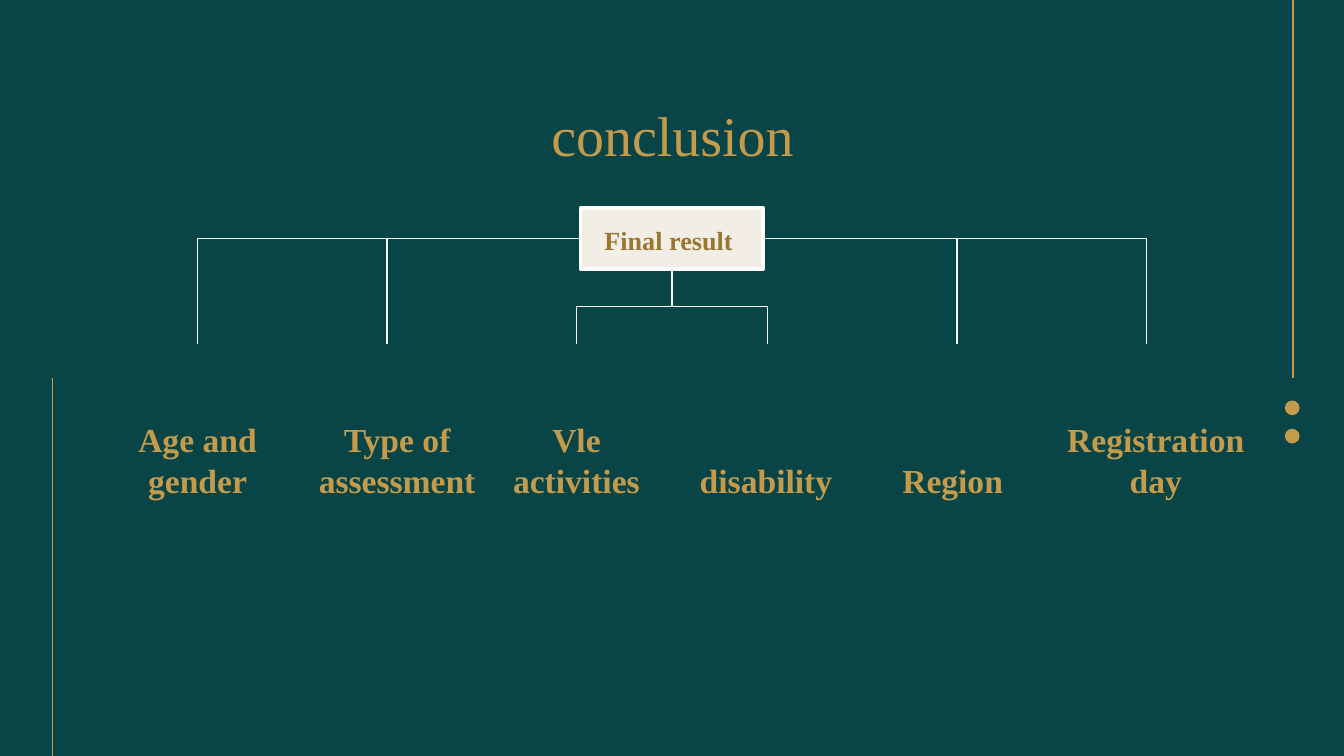
"""Build the conclusion slide: one final result linked to six factors."""
from dataclasses import dataclass
from lxml.etree import SubElement
from pptx import Presentation
from pptx.dml.color import RGBColor as Rgb
from pptx.enum.shapes import MSO_CONNECTOR as Link, MSO_SHAPE as Kind
from pptx.enum.text import MSO_ANCHOR as Anchor, PP_ALIGN as Align
from pptx.oxml.ns import qn
from pptx.util import Inches, Pt


@dataclass(frozen=True)
class Theme:
    back: Rgb = Rgb.from_string("094446")
    gold: Rgb = Rgb.from_string("C49B4B")
    dark: Rgb = Rgb.from_string("997632")
    cream: Rgb = Rgb.from_string("F2EEE5")
    edge: Rgb = Rgb.from_string("FEFEFD")
    wire: Rgb = Rgb.from_string("F8F8F7")
    font: str = "Times New Roman"
    title: Pt = Pt(30)
    label: Pt = Pt(18)
    root: Pt = Pt(14)


theme = Theme()


def write(shape, text, size, color, bold=True, anchor=Anchor.BOTTOM):
    frame = shape.text_frame
    frame.word_wrap = True
    frame.vertical_anchor = anchor
    frame.margin_left = frame.margin_right = Inches(0.1)
    frame.margin_top = frame.margin_bottom = Inches(0.1)
    para = frame.paragraphs[0]
    para.alignment = Align.CENTER
    run = para.add_run()
    run.text = text
    run.font.name, run.font.size = theme.font, size
    run.font.bold, run.font.color.rgb = bold, color


def draw(kind, x1, y1, x2, y2, color):
    line = slide.shapes.add_connector(kind, Inches(x1), Inches(y1), Inches(x2), Inches(y2))
    line.line.color.rgb = color
    line.line.width = Pt(0.75)
    SubElement(line._element.spPr, qn("a:effectLst"))
    return line


wide, high = 10, 10 * 9 / 16
deck = Presentation()
deck.slide_width, deck.slide_height = Inches(wide), Inches(high)
slide = deck.slides.add_slide(deck.slide_layouts[5])
slide.background.fill.solid()
slide.background.fill.fore_color.rgb = theme.back

draw(Link.STRAIGHT, 0.39, high, 0.39, high / 2, theme.gold)
draw(Link.STRAIGHT, 9.62, high / 2, 9.62, 0, theme.gold)
for top in (2.98, 3.19):
    dot = slide.shapes.add_shape(Kind.OVAL, Inches(9.56), Inches(top), Inches(0.11), Inches(0.11))
    dot.shadow.inherit = False
    dot.fill.solid()
    dot.fill.fore_color.rgb = theme.gold
    dot.line.fill.background()

title = slide.shapes.title
title.left, title.top = Inches(0.79), Inches(0.65)
title.width, title.height = Inches(8.43), Inches(0.63)
write(title, "conclusion", theme.title, theme.gold, False, Anchor.TOP)

base = 3.82
labels = [
    ("Age and gender", 0.79, 1.36, 0.77),
    ("Type of assessment", 2.2, 1.51, 1.04),
    ("Vle activities", 3.61, 1.36, 0.77),
    ("disability", 5.02, 1.36, 0.77),
    ("Region ", 6.44, 1.36, 0.77),
    ("Registration day", 7.83, 1.54, 0.87),
]
for text, left, span, tall in labels:
    box = slide.shapes.add_textbox(Inches(left), Inches(base - tall), Inches(span), Inches(tall))
    write(box, text, theme.label, theme.gold)

root = slide.shapes.add_shape(Kind.RECTANGLE, Inches(4.32), Inches(1.55), Inches(1.36), Inches(0.45))
root.shadow.inherit = False
root.fill.solid()
root.fill.fore_color.rgb = theme.cream
root.line.color.rgb = theme.edge
root.line.width = Pt(2)
write(root, "Final result ", theme.root, theme.dark)

mid, low, end = 1.78, 2, 2.56
for start, stop, side in [(4.32, 1.47, 1), (4.32, 2.88, 1), (5.68, 7.12, 3), (5.68, 8.53, 3)]:
    wire = draw(Link.ELBOW, start, mid, stop, end, theme.wire)
    wire._element.spPr.prstGeom.set("prst", "bentConnector2")
    wire.begin_connect(root, side)

drop, reach = end - low, 0.71
for sign, turn, flip in [(-1, 90, "0"), (1, 270, "1")]:
    wire = draw(Link.ELBOW, 5, low, 5 + sign * reach, end, theme.wire)
    wire.begin_connect(root, 2)
    wire.left = Inches(5 + sign * reach / 2 - drop / 2)
    wire.top = Inches((low + end) / 2 - reach / 2)
    wire.width, wire.height = Inches(drop), Inches(reach)
    form = wire._element.spPr.xfrm
    form.set("rot", str(turn * 60000))
    form.set("flipH", flip)

deck.save("out.pptx")
